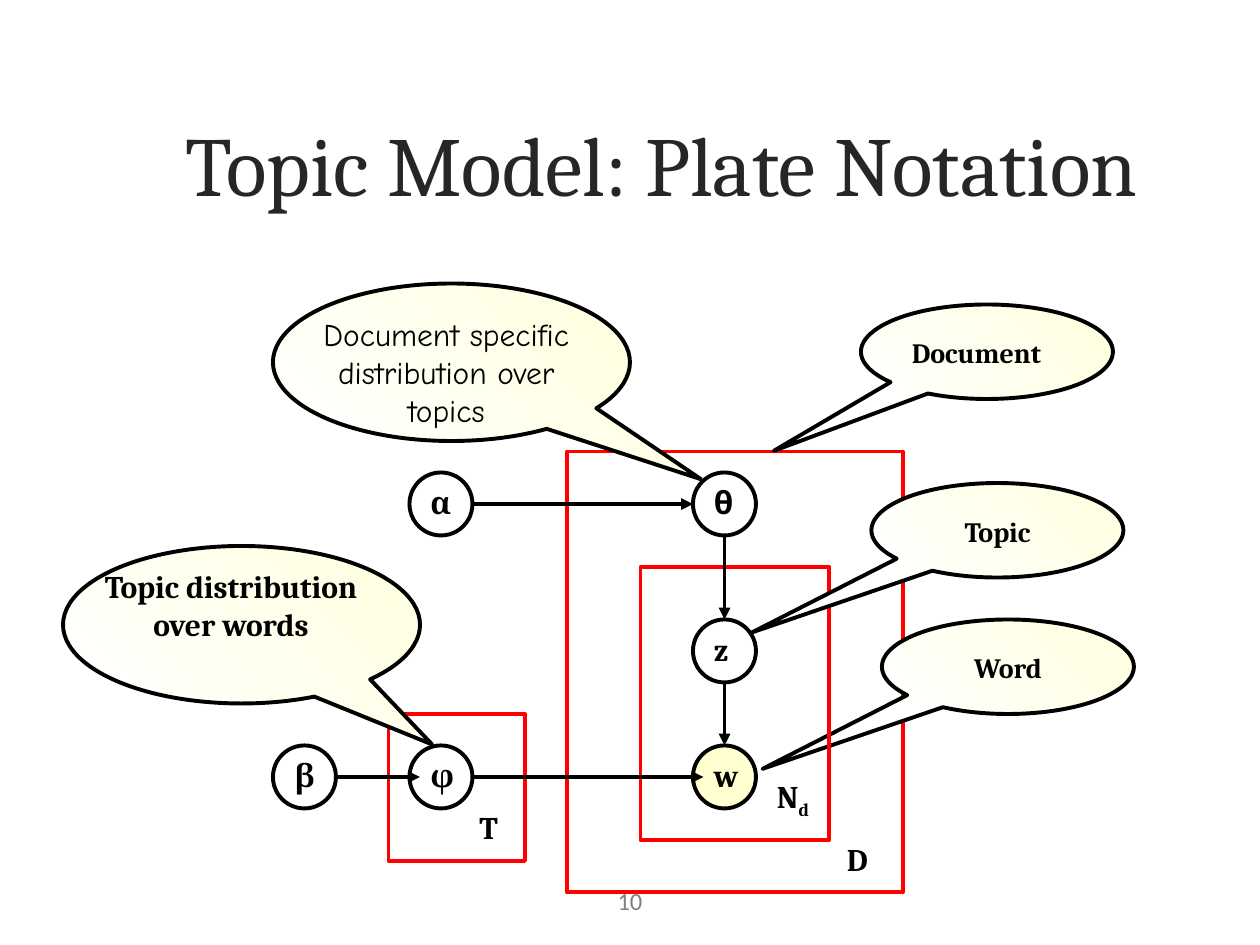
from lxml.etree import SubElement
from pptx import Presentation
from pptx.dml.color import RGBColor
from pptx.enum.shapes import MSO_CONNECTOR, MSO_SHAPE
from pptx.enum.text import MSO_ANCHOR, MSO_AUTO_SIZE, PP_ALIGN
from pptx.oxml.ns import qn
from pptx.util import Pt

color = RGBColor.from_string
LEFT, CENTER = PP_ALIGN.LEFT, PP_ALIGN.CENTER


def add_outline(kind, box, line_color="000000"):
    """Add an unfilled preset shape with the diagram's line width."""
    shape = slide.shapes.add_shape(kind, *map(Pt, box))
    shape.shadow.inherit = False
    shape.fill.background()
    shape.line.color.rgb = color(line_color)
    shape.line.width = Pt(2.25)
    return shape


def write_text(shape, text, size=18, name="Cambria", bold=True, ink="000000",
               alignment=LEFT, anchor=MSO_ANCHOR.TOP, indent=0):
    frame = shape.text_frame
    settings = {"word_wrap": True, "auto_size": MSO_AUTO_SIZE.NONE,
                "vertical_anchor": anchor, "margin_left": Pt(indent),
                "margin_right": 0, "margin_top": 0, "margin_bottom": 0}
    for key, value in settings.items():
        setattr(frame, key, value)
    paragraph = frame.paragraphs[0]
    paragraph.alignment = alignment
    for part in text.split("_"):
        run = paragraph.add_run()
        run.text = part
        for key, value in {"size": Pt(size), "name": name, "bold": bold}.items():
            setattr(run.font, key, value)
        run.font.color.rgb = color(ink)
    if "_" in text:  # the part after the underscore is a subscript
        run._r.get_or_add_rPr().set("baseline", "-25000")


presentation = Presentation()
presentation.slide_width, presentation.slide_height = Pt(720), Pt(540)
slide = presentation.slides.add_slide(presentation.slide_layouts[5])

title = slide.shapes.title
title.left, title.top, title.width, title.height = map(Pt, (66, 48, 624, 90))
write_text(title, "Topic Model: Plate Notation", 48, bold=False, ink="262626",
           alignment=CENTER, anchor=MSO_ANCHOR.MIDDLE)

page_number = slide.shapes.add_textbox(*map(Pt, (246, 500.4, 228, 28.8)))
write_text(page_number, "10", 14, "Calibri", False, "808080", CENTER, MSO_ANCHOR.MIDDLE)

# Callouts: box, pointer offset, text, text box, font size, font, bold
document, topic, word, topic_mix, word_mix = [
    ((492, 174, 144, 54), (-0.846, 1.049), "Document", (480, 192, 156, 19.2), 16, "Cambria", True),
    ((498, 276, 144, 54), (-0.974, 1.081), "Topic", (492, 294, 156, 19.2), 16, "Cambria", True),
    ((504, 354, 144, 54), (-0.974, 1.081), "Word", (498, 372, 156, 19.2), 16, "Cambria", True),
    ((156, 162, 204, 90), (0.699, 0.743), "Document specific distribution over topics",
     (174, 180, 162, 64.8), 18, "Comic Neue", False),
    ((36, 312, 204, 90), (0.534, 0.76), "Topic distribution over words",
     (54, 324, 156, 64.8), 18, "Cambria", True),
]
plate_d, plate_t, plate_n = (324, 258, 192, 252), (222, 408, 78, 84), (366, 324, 108, 156)

# Plates and callouts overlap, so they are stacked from back to front
for item in (plate_d, document, plate_t, word, plate_n, topic, topic_mix, word_mix):
    if len(item) == 4:
        add_outline(MSO_SHAPE.RECTANGLE, item, "FF0000")
        continue
    box, pointer, text, text_box, size, name, bold = item
    callout = add_outline(MSO_SHAPE.OVAL_CALLOUT, box)
    for index, offset in enumerate(pointer):
        callout.adjustments[index] = offset
    callout.fill.gradient()
    callout.fill.gradient_angle = 45
    for stop, shade in zip(callout.fill.gradient_stops, ("FFFFFF", "FFFFDF")):
        stop.color.rgb = color(shade)
    write_text(slide.shapes.add_textbox(*map(Pt, text_box)), text, size, name, bold,
               alignment=CENTER)

# Variables of the model
NODE = 36
nodes = {"α": (234, 270), "θ": (396, 270), "z": (396, 354),
         "β": (156, 426), "φ": (234, 426), "w": (396, 426)}
for symbol, (left, top) in nodes.items():
    circle = add_outline(MSO_SHAPE.OVAL, (left, top, NODE, NODE))
    if symbol == "w":
        circle.fill.solid()
        circle.fill.fore_color.rgb = color("FFFFCF")
    label = slide.shapes.add_textbox(*map(Pt, (left + 12, top + 6, 18, 21.6)))
    write_text(label, symbol, name="Comic Neue" if symbol == "θ" else "Cambria")

# Plate counts
for text, left, top, indent in (("D", 480, 480, 4), ("T", 270, 462, 4), ("N_d", 444, 444, 0)):
    label = slide.shapes.add_textbox(*map(Pt, (left, top, 30, 21.6)))
    write_text(label, text, indent=indent)

# Dependencies; the last value is how far an arrow reaches into its target
for source, target, reach in (("α", "θ", 0), ("θ", "z", 0), ("z", "w", 0),
                              ("β", "φ", 6), ("φ", "w", 6)):
    (x1, y1), (x2, y2) = nodes[source], nodes[target]
    if y1 == y2:
        ends = (x1 + NODE, y1 + NODE / 2, x2 + reach, y2 + NODE / 2)
    else:
        ends = (x1 + NODE / 2, y1 + NODE, x2 + NODE / 2, y2 + reach)
    arrow = slide.shapes.add_connector(MSO_CONNECTOR.STRAIGHT, *map(Pt, ends))
    arrow.line.color.rgb = color("000000")
    arrow.line.width = Pt(2.25)
    SubElement(arrow.line._get_or_add_ln(), qn("a:tailEnd"), type="triangle")
    SubElement(arrow._element.spPr, qn("a:effectLst"))

presentation.save("out.pptx")
